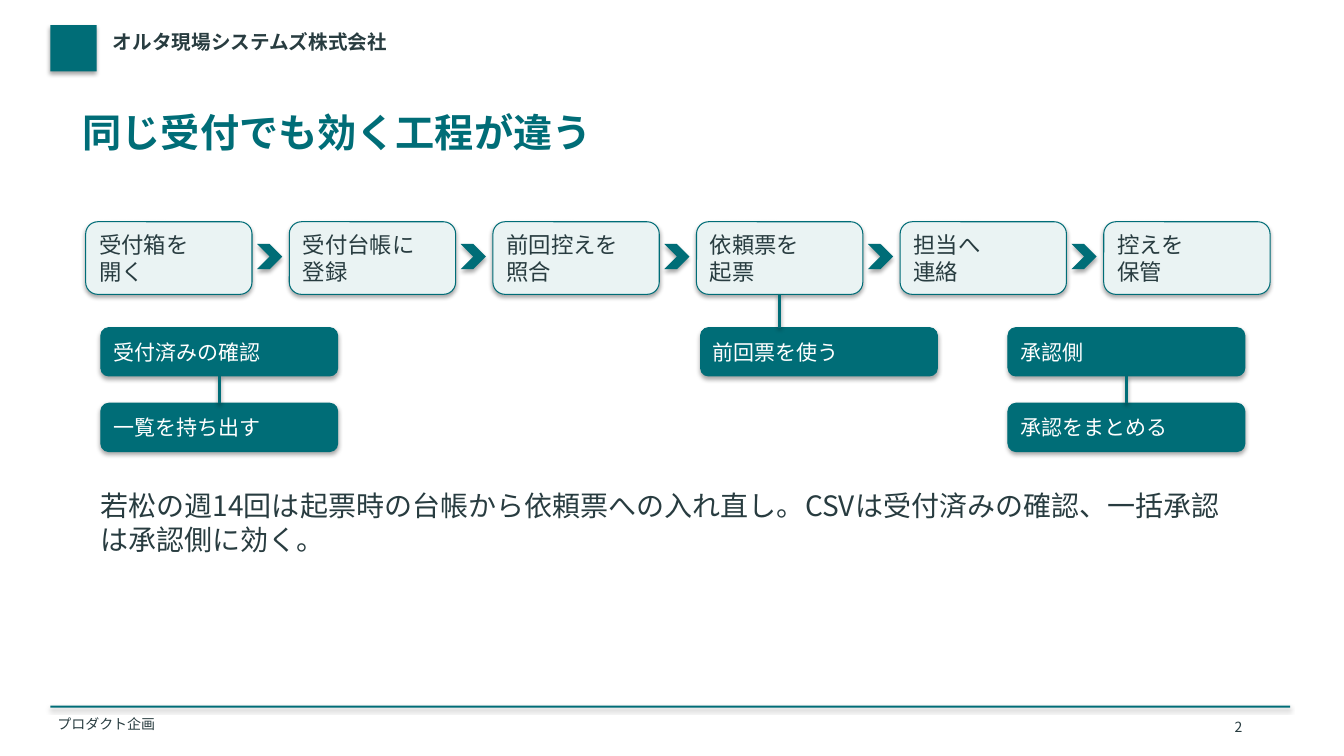
import pptx
import pptx.util
import pptx.dml.color
import pptx.enum.shapes
import pptx.enum.text
import pptx.oxml.ns
import lxml.etree

Pt = pptx.util.Pt
SHAPE = pptx.enum.shapes.MSO_SHAPE
FONT = "Noto Sans CJK JP"
COLORS = {"teal": "006D77", "pale": "EAF3F3", "ink": "283C40", "white": "FFFFFF"}

STEPS = [
    ["受付箱を", "開く"],
    ["受付台帳に", "登録"],
    ["前回控えを", "照合"],
    ["依頼票を", "起票"],
    ["担当へ", "連絡"],
    ["控えを", "保管"],
]
SUMMARY = "若松の週14回は起票時の台帳から依頼票への入れ直し。CSVは受付済みの確認、一括承認は承認側に効く。"


def color(name):
    return pptx.dml.color.RGBColor.from_string(COLORS[name])


def write(shape, lines, size, ink, bold=False):
    frame = shape.text_frame
    frame.word_wrap = True
    for index, line in enumerate(lines):
        para = frame.add_paragraph() if index else frame.paragraphs[0]
        para.text = line
        para.alignment = pptx.enum.text.PP_ALIGN.LEFT
        font = para.font
        font.size, font.bold, font.name = Pt(size), bold, FONT
        font.color.rgb = color(ink)
        properties = para._p.pPr.find(pptx.oxml.ns.qn("a:defRPr"))
        lxml.etree.SubElement(properties, pptx.oxml.ns.qn("a:ea"), typeface=FONT)


def add_label(page, left, top, width, height, text, size, ink="ink", bold=False, inset=None):
    box = page.shapes.add_textbox(Pt(left), Pt(top), Pt(width), Pt(height))
    if inset is not None:
        frame = box.text_frame
        frame.margin_left = frame.margin_right = Pt(inset)
        frame.margin_top = frame.margin_bottom = Pt(inset)
    write(box, [text], size, ink, bold)


def add_block(page, kind, left, top, width, height, fill, outlined=False):
    """Add a filled shape that keeps the soft shadow of the theme."""
    block = page.shapes.add_shape(kind, Pt(left), Pt(top), Pt(width), Pt(height))
    block.fill.solid()
    block.fill.fore_color.rgb = color(fill)
    if outlined:
        block.line.color.rgb = color("teal")
        block.line.width = Pt(0.75)
    else:
        block.line.fill.background()
    return block


def add_card(page, left, top, width, height, lines, size, fill, ink):
    card = add_block(page, SHAPE.ROUNDED_RECTANGLE, left, top, width, height, fill, True)
    card.text_frame.vertical_anchor = pptx.enum.text.MSO_ANCHOR.MIDDLE
    write(card, lines, size, ink)
    return card


def add_link(page, upper, lower):
    """Drop a vertical line from the bottom middle of upper to the top of lower."""
    x = upper.left + upper.width // 2
    link = page.shapes.add_connector(
        pptx.enum.shapes.MSO_CONNECTOR.STRAIGHT, x, upper.top + upper.height, x, lower.top)
    link.begin_connect(upper, 2)
    if lower.left + lower.width // 2 == x:
        link.end_connect(lower, 0)
    link.line.color.rgb = color("teal")
    link.line.width = Pt(2)


def add_header(page, left, top):
    add_block(page, SHAPE.RECTANGLE, left, top, 33, 33, "teal")
    add_label(page, left + 43.2, top + 2, 720, 28.8, "オルタ現場システムズ株式会社", 14,
              bold=True, inset=1.44)


def add_footer(page, left, top, width):
    add_block(page, SHAPE.RECTANGLE, left, top, width, 1.44, "teal")
    add_label(page, left + 3.6, top + 5.76, 648, 15.84, "プロダクト企画", 10, inset=1.44)
    add_label(page, left + 838.8, top + 5.76, 36, 15.84, "2", 10)


def add_process(page, left, top):
    """Lay out the steps in a row with chevrons between them."""
    width, height, pitch = 118.8, 51.84, 145.44
    cards = []
    for index, lines in enumerate(STEPS):
        x = left + index * pitch
        if index:
            add_block(page, SHAPE.CHEVRON, x - 23.04, top + 15.84, 18, 18, "teal")
        cards.append(add_card(page, x, top, width, height, lines, 16, "pale", "ink"))
    return cards


def add_features(page, left, top, names):
    """Stack feature cards, linked from top to bottom."""
    cards = [add_card(page, left, top + row * 54, 169.2, 34.56, [name], 15, "teal", "white")
             for row, name in enumerate(names)]
    for upper, lower in zip(cards, cards[1:]):
        add_link(page, upper, lower)
    return cards


def main():
    deck = pptx.Presentation()
    deck.slide_width, deck.slide_height = Pt(960), Pt(540)
    page = deck.slides.add_slide(deck.slide_layouts[6])
    add_header(page, 36, 18)
    add_footer(page, 36, 504, 885.6)
    add_label(page, 57.6, 75.6, 842.4, 54, "同じ受付でも効く工程が違う", 28, "teal", True, 1.44)
    steps = add_process(page, 61.2, 158.4)
    add_features(page, 72, 234, ["受付済みの確認", "一覧を持ち出す"])
    reuse = add_features(page, 500.4, 234, ["前回票を使う"])
    add_link(page, steps[3], reuse[0])
    add_features(page, 720, 234, ["承認側", "承認をまとめる"])
    add_label(page, 64.8, 345.6, 828, 90, SUMMARY, 20)
    deck.save("out.pptx")


if __name__ == "__main__":
    main()
